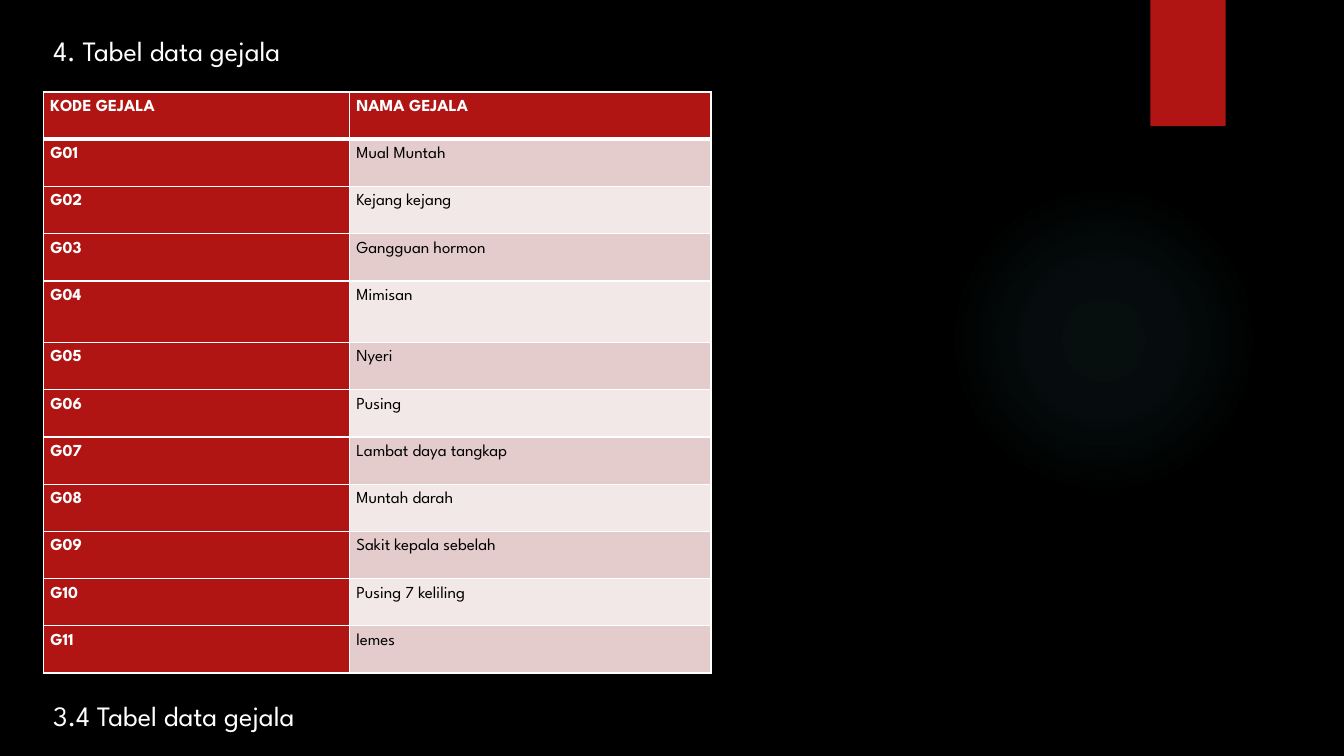
from dataclasses import dataclass
from lxml.etree import SubElement
from pptx import Presentation
from pptx.dml.color import RGBColor
from pptx.enum.shapes import MSO_SHAPE
from pptx.enum.text import MSO_ANCHOR, MSO_AUTO_SIZE, PP_ALIGN
from pptx.oxml import parse_xml
from pptx.oxml.ns import nsdecls, qn
from pptx.util import Cm, Pt

TITLE = "4. Tabel data gejala"
CAPTION = "3.4 Tabel data gejala"
HEADER = ("KODE GEJALA", "NAMA GEJALA")
SYMPTOMS = [
    "Mual Muntah",
    "Kejang kejang",
    "Gangguan hormon",
    "Mimisan",
    "Nyeri",
    "Pusing",
    "Lambat daya tangkap",
    "Muntah darah",
    "Sakit kepala sebelah",
    "Pusing 7 keliling",
    "lemes",
]
GLOW_STOPS = [(0, 7), (36, 6), (69, 0)]


@dataclass(frozen=True)
class Theme:
    font: str = "League Spartan"
    back: str = "000000"
    light: str = "FFFFFF"
    dark: str = "000000"
    red: str = "B01513"
    band_odd: str = "E4CCCC"
    band_even: str = "F2E8E7"
    glow: str = "50B9C1"
    heading: int = 20
    cell: int = 12


T = Theme()
LEFT = Cm(1.09)
COL_WIDTHS = (Cm(7.71), Cm(9.12))
ROW_H, TALL_ROW_H = Cm(1.19), Cm(1.55)
TALL_ROW = 4


def rgb(value):
    return RGBColor.from_string(value)


def style_text(tf, size, color, bold=False):
    for p in tf.paragraphs:
        p.alignment = PP_ALIGN.JUSTIFY
        for r in p.runs:
            r.font.name = T.font
            r.font.size = Pt(size)
            r.font.bold = bold
            r.font.color.rgb = rgb(color)


def add_plain_shape(s, kind, x, y, w, h, color):
    sp = s.shapes.add_shape(kind, x, y, w, h)
    sp.shadow.inherit = False
    sp.fill.solid()
    sp.fill.fore_color.rgb = rgb(color)
    sp.line.fill.background()
    return sp


def add_glow(s):
    sp = add_plain_shape(s, MSO_SHAPE.OVAL, Cm(23.9), Cm(4.65), Cm(7.82), Cm(7.82), T.glow)
    stops = "".join(
        f'<a:gs pos="{pos * 1000}"><a:srgbClr val="{T.glow}">'
        f'<a:alpha val="{alpha * 1000}"/></a:srgbClr></a:gs>'
        for pos, alpha in GLOW_STOPS
    )
    grad = parse_xml(
        f'<a:gradFill {nsdecls("a")} rotWithShape="1"><a:gsLst>{stops}</a:gsLst>'
        '<a:path path="circle"><a:fillToRect l="50000" t="50000" r="50000" b="50000"/>'
        "</a:path></a:gradFill>"
    )
    solid = sp.element.spPr.find(qn("a:solidFill"))
    solid.getparent().replace(solid, grad)


def set_borders(cell, widths):
    tc_pr = cell._tc.get_or_add_tcPr()
    for i, (side, width) in enumerate(zip("LRTB", widths)):
        ln = SubElement(tc_pr, qn(f"a:ln{side}"), w=str(Pt(width)))
        fill = SubElement(ln, qn("a:solidFill"))
        SubElement(fill, qn("a:srgbClr"), val=T.light)
        tc_pr.insert(i, ln)


def add_symptom_table(s):
    rows = [HEADER] + [(f"G{n:02}", name) for n, name in enumerate(SYMPTOMS, 1)]
    height = ROW_H * (len(rows) - 1) + TALL_ROW_H
    table = s.shapes.add_table(
        len(rows), len(HEADER), LEFT, Cm(2.32), sum(COL_WIDTHS), height
    ).table
    for col, width in zip(table.columns, COL_WIDTHS):
        col.width = width
    for i, values in enumerate(rows):
        table.rows[i].height = TALL_ROW_H if i == TALL_ROW else ROW_H
        for j, value in enumerate(values):
            strong = i == 0 or j == 0
            band = T.band_odd if i % 2 else T.band_even
            cell = table.cell(i, j)
            cell.margin_left = cell.margin_right = Cm(0.18)
            cell.margin_top = cell.margin_bottom = 0
            cell.text_frame.text = value
            cell.text_frame.paragraphs[0].line_spacing = 1.5
            style_text(cell.text_frame, T.cell, T.light if strong else T.dark, strong)
            cell.fill.solid()
            cell.fill.fore_color.rgb = rgb(T.red if strong else band)
            set_borders(cell, (1, 1, 3 if i == 1 else 1, 3 if i == 0 else 1))


def add_title(s):
    sp = s.shapes.title
    sp.left, sp.top, sp.width, sp.height = LEFT, Cm(0.71), Cm(15.98), Cm(1.11)
    tf = sp.text_frame
    tf.text = TITLE
    tf.vertical_anchor = MSO_ANCHOR.MIDDLE
    tf.auto_size = MSO_AUTO_SIZE.NONE
    style_text(tf, T.heading, T.light)


def add_caption(s):
    tf = s.shapes.add_textbox(LEFT, Cm(17.48), Cm(7.87), Cm(1.11)).text_frame
    tf.text = CAPTION
    tf.word_wrap = False
    style_text(tf, T.heading, T.light)


def main():
    prs = Presentation()
    prs.slide_width, prs.slide_height = Cm(33.87), Cm(19.05)
    s = prs.slides.add_slide(prs.slide_layouts[5])
    s.background.fill.solid()
    s.background.fill.fore_color.rgb = rgb(T.back)
    add_glow(s)
    add_plain_shape(s, MSO_SHAPE.RECTANGLE, Cm(28.99), 0, Cm(1.9), Cm(3.18), T.red)
    add_symptom_table(s)
    add_title(s)
    add_caption(s)
    prs.save("out.pptx")


if __name__ == "__main__":
    main()
